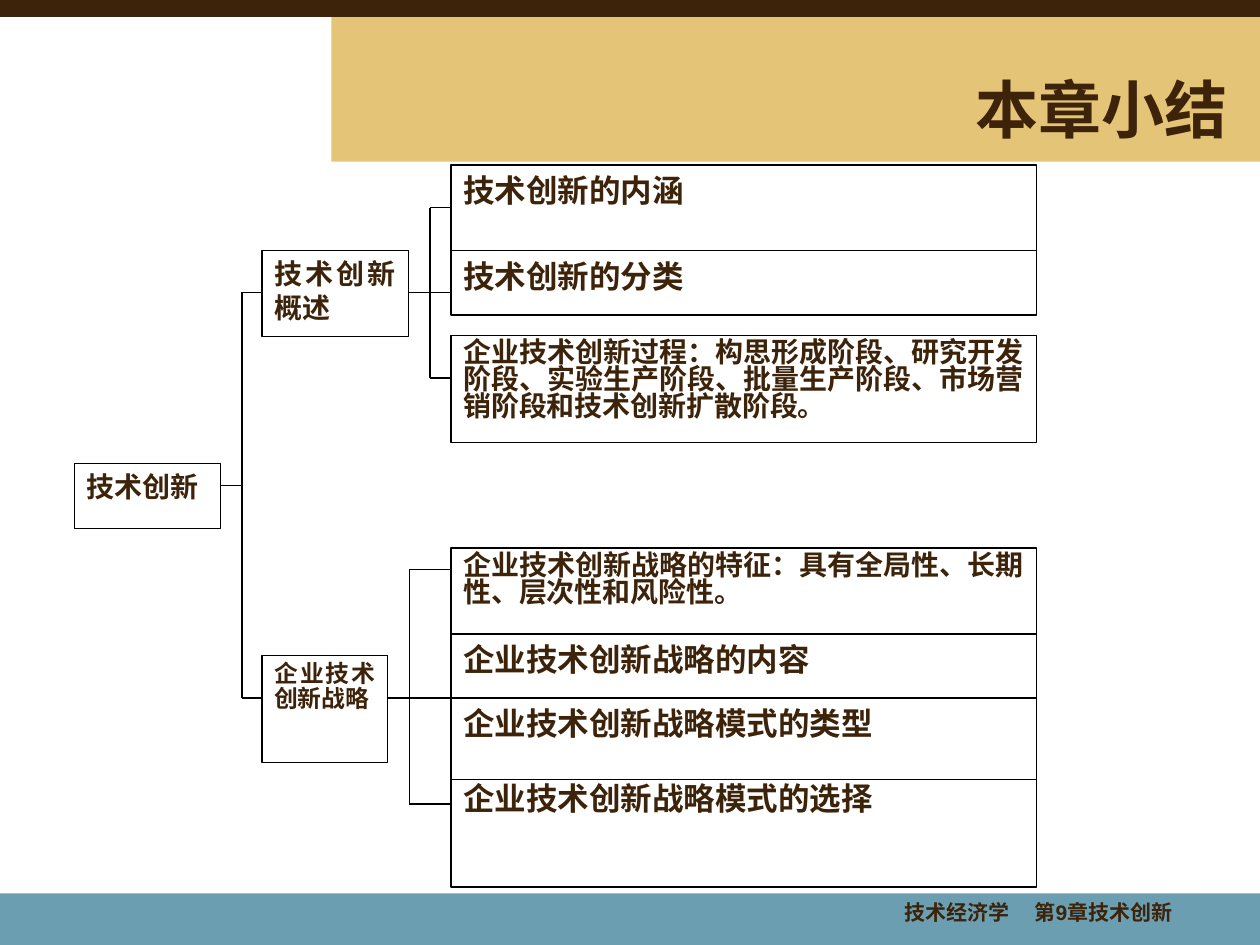
from dataclasses import dataclass

import lxml.etree
import pptx
import pptx.dml.color
import pptx.enum.shapes
import pptx.enum.text
import pptx.oxml.ns
import pptx.util
from pptx.util import Cm

ALIGN = pptx.enum.text.PP_ALIGN
COLUMN_LEFT, COLUMN_WIDTH = 9.09, 11.81


@dataclass(frozen=True)
class Theme:
    ink: str = "3C230A"
    sand: str = "E4C578"
    teal: str = "6A9EB0"
    paper: str = "FFFFFF"
    line: str = "000000"
    heading_font: str = "Arial"
    body_font: str = "Times New Roman"
    title: float = 36
    topic: float = 18
    detail: float = 16
    compact: float = 13.6
    footer: float = 12
    line_width: float = 0.75


THEME = Theme()


def rgb(code):
    return pptx.dml.color.RGBColor.from_string(code)


def style_paragraph(para, size, font_name, align, spacing=None):
    para.alignment = align
    if spacing:
        para.line_spacing = spacing
    para.font.size = pptx.util.Pt(size)
    para.font.name = font_name
    para.font.bold = True
    para.font.color.rgb = rgb(THEME.ink)


def add_rectangle(page, left, top, width, height, fill, line=None):
    box = page.shapes.add_shape(
        pptx.enum.shapes.MSO_SHAPE.RECTANGLE,
        Cm(left), Cm(top), Cm(width), Cm(height))
    box.shadow.inherit = False
    box.fill.solid()
    box.fill.fore_color.rgb = rgb(fill)
    if line:
        box.line.color.rgb = rgb(line)
        box.line.width = pptx.util.Pt(THEME.line_width)
    else:
        box.line.fill.background()
    return box


def add_topic(page, left, top, width, height, text, size, spacing=None):
    box = add_rectangle(page, left, top, width, height, THEME.paper, THEME.line)
    frame = box.text_frame
    frame.word_wrap = True
    frame.vertical_anchor = pptx.enum.text.MSO_ANCHOR.TOP
    frame.text = text
    style_paragraph(frame.paragraphs[0], size, THEME.body_font,
                    ALIGN.JUSTIFY, spacing)


def add_line(page, x1, y1, x2, y2):
    line = page.shapes.add_connector(
        pptx.enum.shapes.MSO_CONNECTOR.STRAIGHT, Cm(x1), Cm(y1), Cm(x2), Cm(y2))
    line.line.color.rgb = rgb(THEME.line)
    line.line.width = pptx.util.Pt(THEME.line_width)
    lxml.etree.SubElement(line._element.spPr, pptx.oxml.ns.qn("a:effectLst"))


def add_bracket(page, start, spine, end, stem_y, branch_ys):
    """Join one parent at (start, stem_y) to children at x = end."""
    add_line(page, start, stem_y, spine, stem_y)
    add_line(page, spine, branch_ys[0], spine, branch_ys[-1])
    for y in branch_ys:
        add_line(page, spine, y, end, y)


def add_title(page, text):
    title = page.shapes.title
    title.left, title.top = Cm(7.42), Cm(1.4)
    title.width, title.height = Cm(17.58), Cm(1.57)
    frame = title.text_frame
    frame.auto_size = pptx.enum.text.MSO_AUTO_SIZE.NONE
    frame.vertical_anchor = pptx.enum.text.MSO_ANCHOR.MIDDLE
    frame.text = text
    style_paragraph(frame.paragraphs[0], THEME.title, THEME.heading_font,
                    ALIGN.RIGHT)


def add_footer(page, course, chapter):
    """Place course and chapter on one line, parted by a tab stop."""
    box = page.shapes.add_textbox(Cm(15.29), Cm(18.01), Cm(9.04), Cm(0.84))
    frame = box.text_frame
    frame.word_wrap = True
    frame.margin_left = Cm(2.95)
    frame.margin_right = 0
    frame.text = f"{course}\t{chapter}"
    para = frame.paragraphs[0]
    properties = para._p.get_or_add_pPr()
    tabs = lxml.etree.SubElement(properties, pptx.oxml.ns.qn("a:tabLst"))
    lxml.etree.SubElement(tabs, pptx.oxml.ns.qn("a:tab"),
                          pos=str(Cm(2.62)), algn="l")
    style_paragraph(para, THEME.footer, THEME.heading_font, ALIGN.LEFT)


def add_topic_tree(page):
    add_bracket(page, 4.44, 4.88, 5.28, 9.78, [5.89, 14.07])
    add_bracket(page, 8.25, 8.67, COLUMN_LEFT, 5.89, [4.19, 5.89, 7.62])
    add_bracket(page, 7.82, 8.25, COLUMN_LEFT, 14.07, [11.48, 14.07, 16.21])

    add_topic(page, 1.5, 9.35, 2.95, 1.3, "技术创新", THEME.detail)
    add_topic(page, 5.28, 5.05, 2.95, 1.73, "技术创新概述", THEME.detail)
    add_topic(page, 5.28, 13.21, 2.54, 2.16, "企业技术创新战略",
              THEME.compact, 0.9)

    column = [
        (3.33, 1.73, "技术创新的内涵", THEME.topic, None),
        (5.05, 1.3, "技术创新的分类", THEME.topic, None),
        (6.76, 2.16, "企业技术创新过程：构思形成阶段、研究开发阶段、实验生产阶段、"
         "批量生产阶段、市场营销阶段和技术创新扩散阶段。", THEME.detail, 0.8),
        (11.05, 1.73, "企业技术创新战略的特征：具有全局性、长期性、层次性和风险性。",
         THEME.detail, 0.8),
        (12.78, 2.16, "企业技术创新战略的内容", THEME.topic, None),
        (14.07, 1.73, "企业技术创新战略模式的类型", THEME.topic, None),
        (15.72, 2.16, "企业技术创新战略模式的选择", THEME.topic, 0.8),
    ]
    for top, height, text, size, spacing in column:
        add_topic(page, COLUMN_LEFT, top, COLUMN_WIDTH, height,
                  text, size, spacing)


def main():
    deck = pptx.Presentation()
    deck.slide_width, deck.slide_height = Cm(25.4), Cm(19.05)
    page = deck.slides.add_slide(deck.slide_layouts.get_by_name("Title Only"))
    page.background.fill.solid()
    page.background.fill.fore_color.rgb = rgb(THEME.paper)

    add_rectangle(page, 6.68, 0.33, 18.72, 2.93, THEME.sand)
    add_rectangle(page, 0, 18.01, 25.4, 1.04, THEME.teal)
    add_rectangle(page, 0, 0, 25.4, 0.33, THEME.ink, THEME.ink)
    # Bring the title in front of the bands.
    page.shapes._spTree.append(page.shapes.title._element)
    add_title(page, "本章小结")
    add_footer(page, "技术经济学", "第9章技术创新")
    add_topic_tree(page)
    deck.save("out.pptx")


if __name__ == "__main__":
    main()
